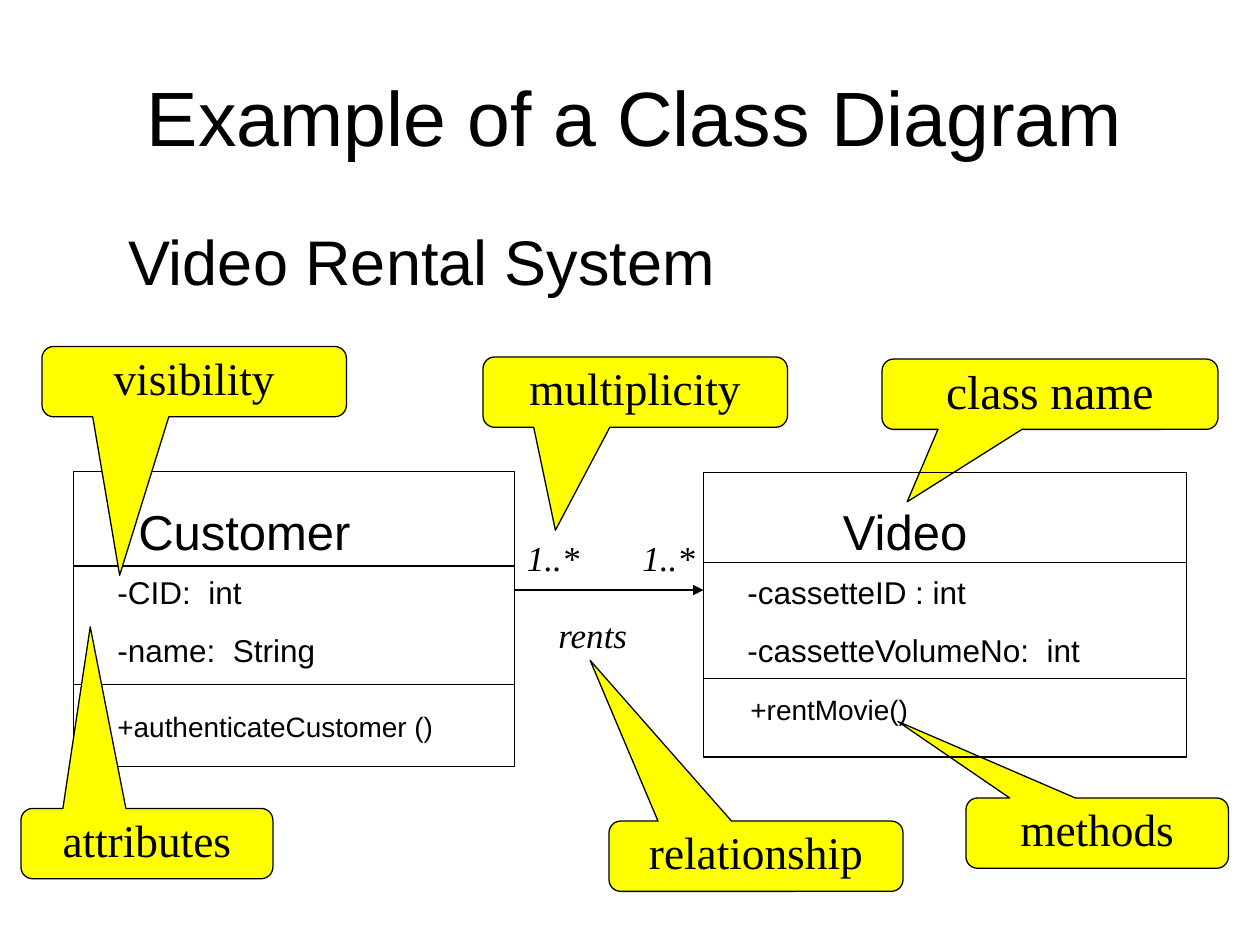
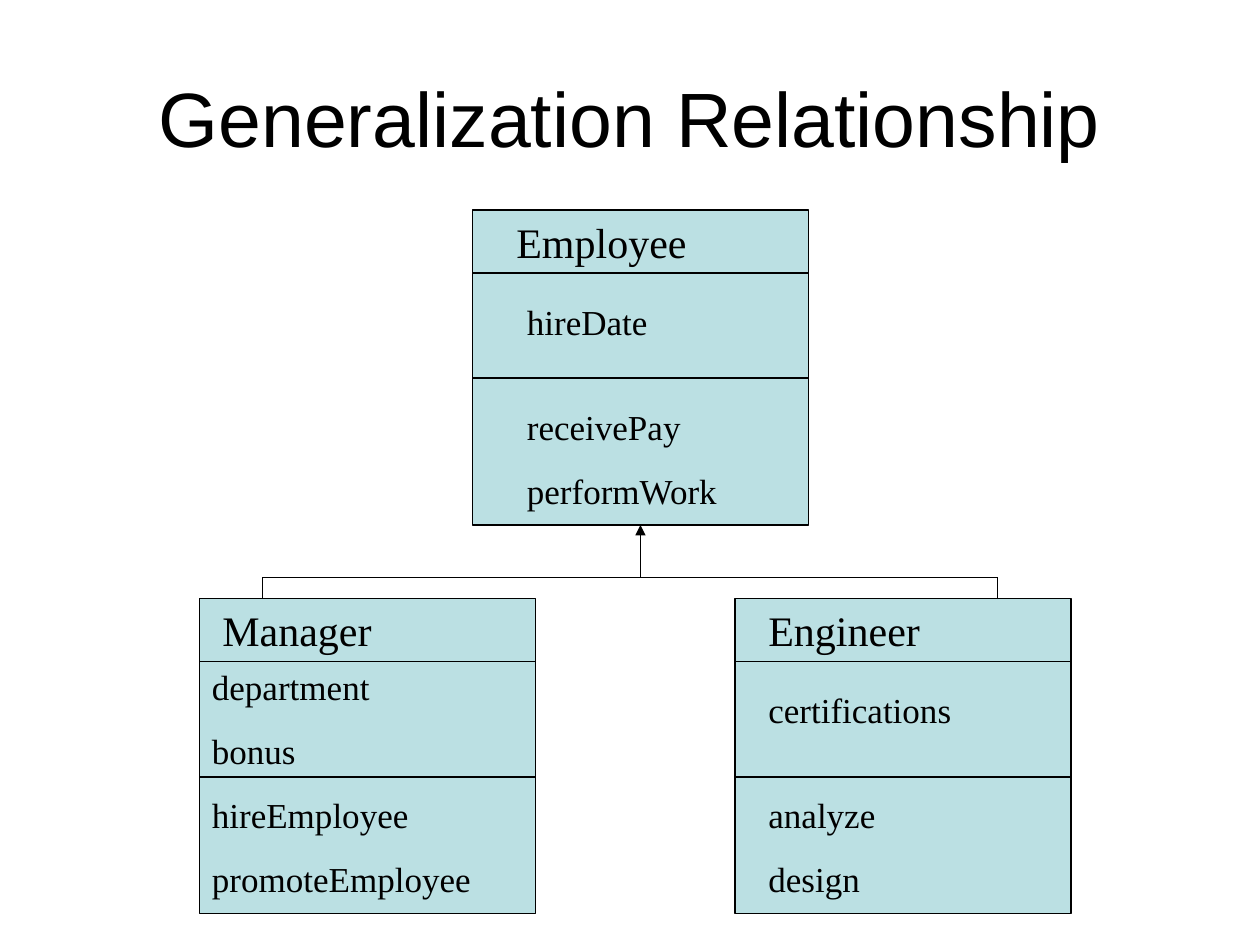
from dataclasses import dataclass

from lxml.etree import SubElement
from pptx import Presentation
from pptx.dml.color import RGBColor
from pptx.enum.shapes import MSO_CONNECTOR, MSO_SHAPE
from pptx.enum.text import MSO_ANCHOR, MSO_AUTO_SIZE, PP_ALIGN
from pptx.oxml.ns import qn
from pptx.util import Emu, Pt

SCALE = 7620  # EMU per px: 120 px to the inch


@dataclass(frozen=True)
class Theme:
    ink: RGBColor = RGBColor(0, 0, 0)
    note: RGBColor = RGBColor(0xFF, 0xFF, 0)
    panel: RGBColor = RGBColor(0xBB, 0xE0, 0xE3)
    sans: str = "Arial"
    serif: str = "Times New Roman"
    title: float = 44
    body: float = 36
    head: float = 28
    field: float = 18
    method: float = 16
    call: float = 25.9
    name: float = 24
    item: float = 20
    line: float = 0.75
    lead: float = 0.625  # space before a paragraph, per point of type


def px(*values):
    return [Emu(round(v * SCALE)) for v in values]


class Deck:
    def __init__(self, theme):
        self.theme = theme
        self.file = Presentation()
        self.file.slide_width, self.file.slide_height = px(1200, 900)
        self.slide = None

    def page(self, layout, title, area, anchor):
        self.slide = self.file.slides.add_slide(self.file.slide_layouts[layout])
        self.holder(self.slide.shapes.title, title, area, self.theme.title,
                    PP_ALIGN.CENTER, anchor)

    def holder(self, shape, text, area, size, align, anchor=MSO_ANCHOR.TOP):
        shape.left, shape.top, shape.width, shape.height = px(*area)
        frame = shape.text_frame
        frame.text = text
        frame.auto_size = MSO_AUTO_SIZE.NONE
        frame.vertical_anchor = anchor
        self.style(frame, size, self.theme.sans, align)

    def body(self, text, area):
        shape = self.slide.placeholders[1]
        self.holder(shape, text, area, self.theme.body, PP_ALIGN.LEFT)
        for para in shape.text_frame.paragraphs:
            props = para._p.get_or_add_pPr()
            props.set("marL", "0")
            props.set("indent", "0")
            SubElement(props, qn("a:buNone"))

    def style(self, frame, size, font, align=PP_ALIGN.LEFT, lead=0, slant=False):
        frame.word_wrap = True
        for para in frame.paragraphs:
            para.alignment = align
            para.space_before = Pt(size * lead)
            for run in para.runs:
                run.font.size = Pt(size)
                run.font.name = font
                run.font.italic = slant
                run.font.color.rgb = self.theme.ink

    def text(self, text, x, y, w, h, size, font, slant=False):
        frame = self.slide.shapes.add_textbox(*px(x, y, w, h)).text_frame
        frame.text = text
        self.style(frame, size, font, lead=self.theme.lead, slant=slant)

    def shape(self, kind, area, fill=None):
        shape = self.slide.shapes.add_shape(kind, *px(*area))
        shape.shadow.inherit = False
        if fill is None:
            shape.fill.background()
        else:
            shape.fill.solid()
            shape.fill.fore_color.rgb = fill
        shape.line.color.rgb = self.theme.ink
        shape.line.width = Pt(self.theme.line)
        return shape

    def line(self, start, end, arrow=False):
        link = self.slide.shapes.add_connector(
            MSO_CONNECTOR.STRAIGHT, *px(*start, *end))
        link.line.color.rgb = self.theme.ink
        link.line.width = Pt(self.theme.line)
        if arrow:
            SubElement(link.line._get_or_add_ln(), qn("a:tailEnd"), type="triangle")
        SubElement(link._element.spPr, qn("a:effectLst"))
        return link

    def box(self, x, y, w, h, cuts, fill=None):
        """A class box, divided at the given depths."""
        shape = self.shape(MSO_SHAPE.RECTANGLE, (x, y, w, h), fill)
        for cut in cuts:
            self.line((x, y + cut), (x + w, y + cut))
        return shape

    def call(self, text, x, y, w, tip, size=None):
        """A callout whose tail ends at the tip."""
        h = 67
        shape = self.shape(MSO_SHAPE.ROUNDED_RECTANGULAR_CALLOUT,
                           (x, y, w, h), self.theme.note)
        shape.adjustments[0] = (tip[0] - x - w / 2) / w
        shape.adjustments[1] = (tip[1] - y - h / 2) / h
        frame = shape.text_frame
        frame.text = text
        frame.vertical_anchor = MSO_ANCHOR.TOP
        self.style(frame, size or self.theme.call, self.theme.serif, PP_ALIGN.CENTER)
        frame.paragraphs[0].line_spacing = 0.9


def rental(deck):
    look = deck.theme
    deck.page(1, "Example of a Class Diagram", (70, 60, 1070, 101), MSO_ANCHOR.TOP)
    deck.body("Video Rental System", (110, 206, 630, 84))

    # Callouts behind the Video class
    deck.call("methods", 920, 760, 250, (855, 687))
    deck.call("class name", 840, 342, 320, (864, 478), 27.2)

    # Classes
    deck.box(670, 450, 460, 271, (86, 196))
    deck.box(70, 449, 420, 281, (90, 203))
    for text, x, y, w, h, size in (
        ("Video", 791, 472, 208, 68, look.head),
        ("-cassetteID : int\n-cassetteVolumeNo:  int", 700, 540, 410, 103, look.field),
        ("+rentMovie()", 703, 654, 218, 44, look.method),
        ("Customer", 120, 472, 310, 68, look.head),
        ("-CID:  int\n-name:  String", 100, 540, 380, 103, look.field),
        ("+authenticateCustomer ()", 100, 670, 340, 44, look.method),
    ):
        deck.text(text, x, y, w, h, size, look.sans)

    # Association
    deck.line((490, 562), (670, 562), arrow=True)
    for text, x, y, w in (("rents", 520, 578, 120), ("1..*", 600, 505, 80),
                          ("1..*", 490, 505, 80)):
        deck.text(text, x, y, w, 53, look.item, look.serif, slant=True)

    # Callouts in front
    for text, x, y, w, tip in (
        ("relationship", 580, 782, 280, (562, 629)),
        ("multiplicity", 460, 340, 290, (529, 505)),
        ("visibility", 40, 330, 290, (114, 548)),
        ("attributes", 20, 770, 240, (86, 597)),
    ):
        deck.call(text, x, y, w, tip)


def family(deck):
    look = deck.theme
    deck.page(5, "Generalization Relationship", (60, 36, 1080, 150), MSO_ANCHOR.MIDDLE)

    # Classes, with every line of text clear of the dividers
    wide, tall = 320, 300
    parent = deck.box(450, 200, wide, tall, (60, 160), look.panel)
    for left in (190, 700):
        deck.box(left, 570, wide, tall, (60, 170), look.panel)
    for text, x, y in (("Employee", 480, 200), ("Manager", 200, 570),
                       ("Engineer", 720, 570)):
        deck.text(text, x, y, 240, 60, look.name, look.serif)
    for text, x, y, h in (
        ("hireDate", 490, 280, 53),
        ("receivePay\nperformWork", 490, 380, 113),
        ("department\nbonus", 190, 628, 113),
        ("hireEmployee\npromoteEmployee", 190, 750, 113),
        ("certifications", 720, 650, 53),
        ("analyze\ndesign", 720, 750, 113),
    ):
        deck.text(text, x, y, 280, h, look.item, look.serif)

    # Tree of lines up to the parent
    rail, ends = 550, (250, 950)
    for x in ends:
        deck.line((x, 570), (x, rail))
    deck.line((ends[0], rail), (ends[1], rail))
    deck.line((610, rail), (610, 500), arrow=True).end_connect(parent, 2)


def main():
    deck = Deck(Theme())
    rental(deck)
    family(deck)
    deck.file.save("out.pptx")


if __name__ == "__main__":
    main()
